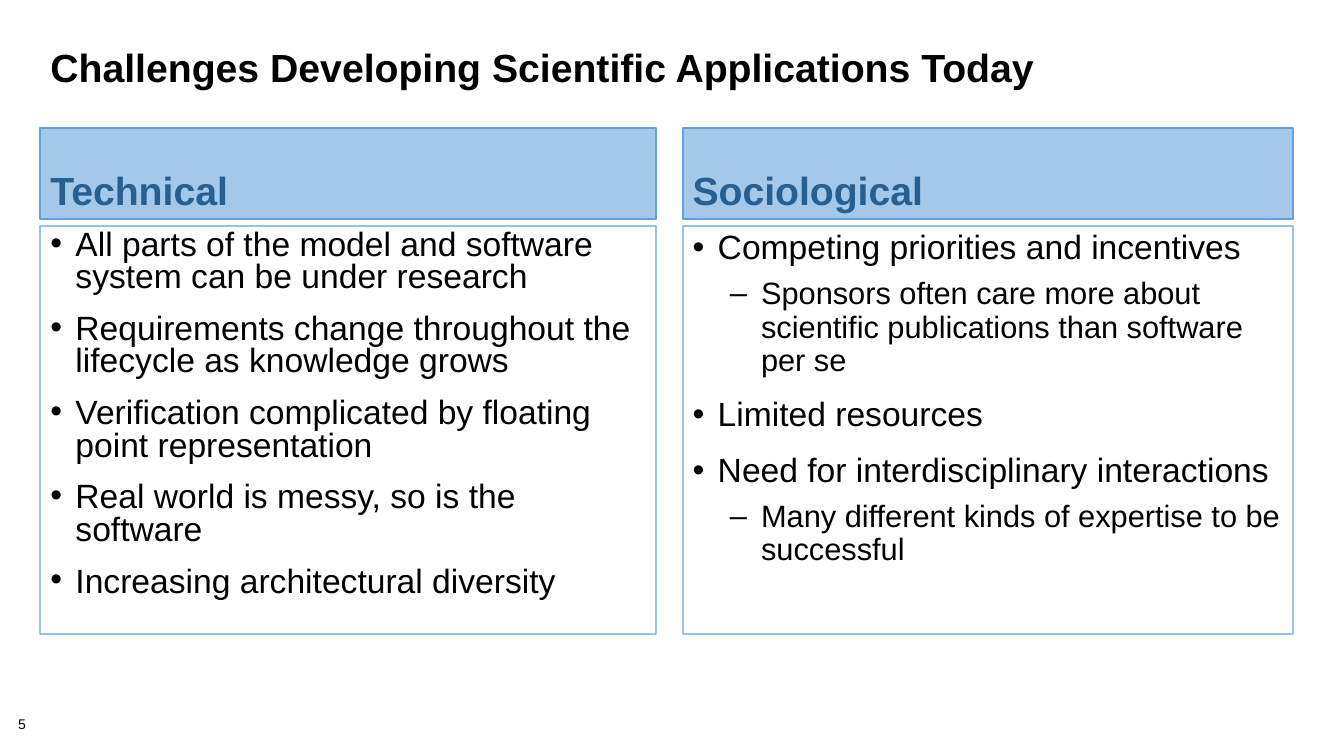
from dataclasses import dataclass

from lxml import etree
from pptx import Presentation
from pptx.dml.color import RGBColor
from pptx.enum.shapes import MSO_SHAPE
from pptx.enum.text import MSO_ANCHOR, MSO_AUTO_SIZE, PP_ALIGN
from pptx.oxml.ns import qn
from pptx.util import Inches, Pt

RECTANGLE = MSO_SHAPE.RECTANGLE
TOP, BOTTOM = MSO_ANCHOR.TOP, MSO_ANCHOR.BOTTOM
LEFT = PP_ALIGN.LEFT
NO_AUTOFIT = MSO_AUTO_SIZE.NONE


@dataclass(frozen=True)
class Theme:
    font: str = "Arial"
    ink: RGBColor = RGBColor.from_string("000000")
    heading_ink: RGBColor = RGBColor.from_string("266093")
    heading_fill: RGBColor = RGBColor.from_string("A3C8EA")
    heading_line: RGBColor = RGBColor.from_string("64A1D7")
    list_line: RGBColor = RGBColor.from_string("98C1E8")
    heading_size: int = 28
    point_size: int = 24
    detail_size: int = 22
    number_size: int = 10


THEME = Theme()

# Per list level: bullet, left margin, hanging indent, size, space before
LEVELS = [
    ("•", 0.25, -0.25, THEME.point_size, 14),
    ("–", 0.68, -0.31, THEME.detail_size, 8),
]

# Heading, left, width, line spacing of the list, (level, text) items
COLUMNS = [
    ("Technical", 0.4, 6.11, 0.8, [
        (0, "All parts of the model and software system can be under research"),
        (0, "Requirements change throughout the lifecycle as knowledge grows"),
        (0, "Verification complicated by floating point representation"),
        (0, "Real world is messy, so is the software"),
        (0, "Increasing architectural diversity"),
    ]),
    ("Sociological", 6.77, 6.05, 0.9, [
        (0, "Competing priorities and incentives"),
        (1, "Sponsors often care more about scientific publications than software per se"),
        (0, "Limited resources"),
        (0, "Need for interdisciplinary interactions"),
        (1, "Many different kinds of expertise to be successful"),
    ]),
]


def write(frame, text, size, color=THEME.ink, bold=False, spacing=0.9,
          before=0, level=None, anchor=TOP):
    """Fill the empty first paragraph of the frame, or append one."""
    first = not frame.text
    paragraph = frame.paragraphs[0] if first else frame.add_paragraph()
    frame.word_wrap = True
    frame.auto_size = NO_AUTOFIT
    frame.vertical_anchor = anchor
    paragraph.alignment = LEFT
    paragraph.line_spacing = spacing
    paragraph.space_before = Pt(0 if first else before)
    if level is not None:
        bullet, margin, indent, _, _ = LEVELS[level]
        paragraph.level = level
        properties = paragraph._p.get_or_add_pPr()
        properties.set("marL", str(Inches(margin)))
        properties.set("indent", str(Inches(indent)))
        etree.SubElement(properties, qn("a:buFont")).set("typeface", THEME.font)
        etree.SubElement(properties, qn("a:buChar")).set("char", bullet)
    run = paragraph.add_run()
    run.text = text
    run.font.name = THEME.font
    run.font.size = Pt(size)
    run.font.bold = bold
    run.font.color.rgb = color


def add_panel(slide, left, top, width, height, line, fill=None):
    panel = slide.shapes.add_shape(
        RECTANGLE, Inches(left), Inches(top), Inches(width), Inches(height))
    panel.shadow.inherit = False
    panel.line.color.rgb = line
    panel.line.width = Pt(1.5)
    if fill is None:
        panel.fill.background()
    else:
        panel.fill.solid()
        panel.fill.fore_color.rgb = fill
    return panel.text_frame


deck = Presentation()
deck.slide_width, deck.slide_height = Inches(13.33), Inches(7.5)
slide = deck.slides.add_slide(deck.slide_layouts[5])

title = slide.shapes.title
title.left, title.top = Inches(0.4), Inches(0.45)
title.width, title.height = Inches(12.44), Inches(0.56)
write(title.text_frame, "Challenges Developing Scientific Applications Today",
      THEME.heading_size, bold=True, spacing=0.85)

for heading, left, width, spacing, items in COLUMNS:
    heading_frame = add_panel(slide, left, 1.27, width, 0.9,
                              THEME.heading_line, THEME.heading_fill)
    write(heading_frame, heading, THEME.heading_size, color=THEME.heading_ink,
          bold=True, anchor=BOTTOM)
    list_frame = add_panel(slide, left, 2.24, width, 4.05, THEME.list_line)
    for level, item in items:
        _, _, _, size, before = LEVELS[level]
        write(list_frame, item, size, spacing=spacing, before=before, level=level)

page_number = slide.shapes.add_textbox(
    Inches(0.18), Inches(7.12), Inches(0.56), Inches(0.16)).text_frame
page_number.margin_left = page_number.margin_right = Inches(0)
page_number.margin_top = page_number.margin_bottom = Inches(0)
write(page_number, "5", THEME.number_size)

deck.save("out.pptx")
